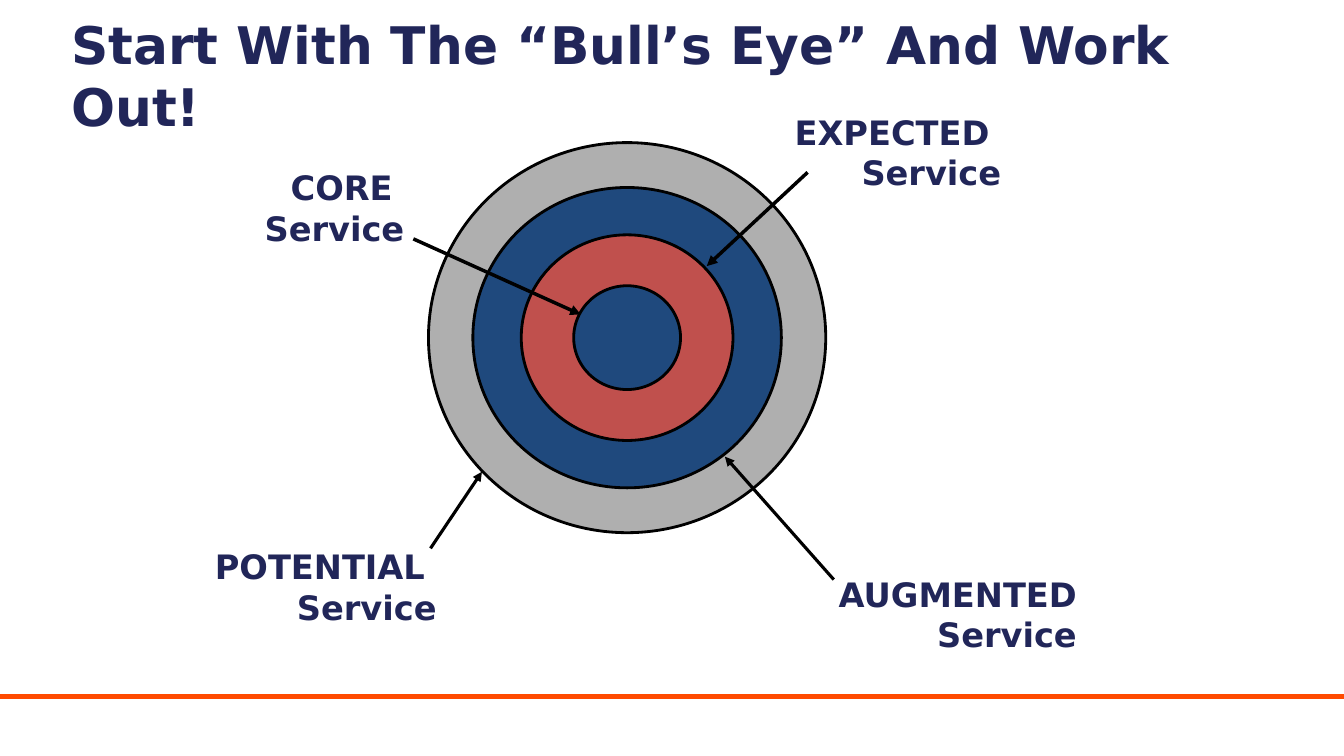
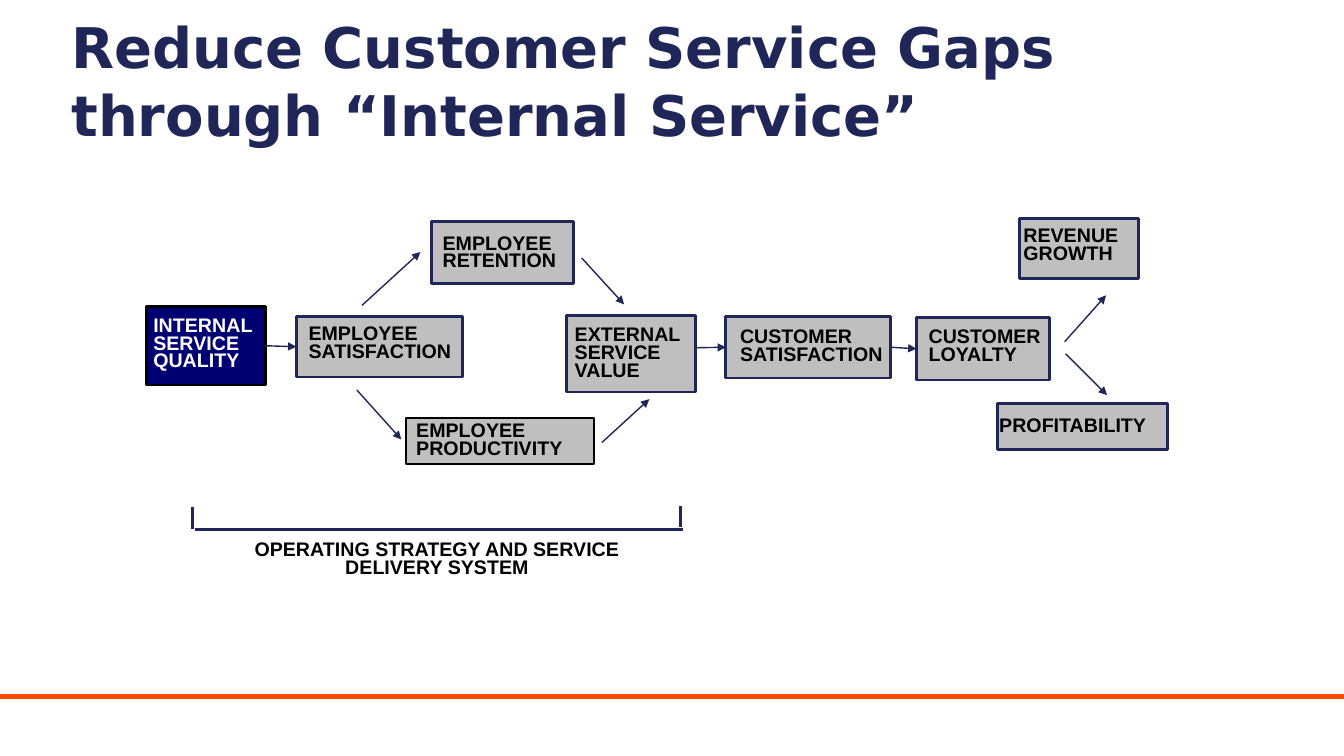
from lxml import etree
from pptx import Presentation
from pptx import util as u
from pptx.dml.color import RGBColor
from pptx.enum import shapes, text
from pptx.oxml.ns import qn

COLORS = {
    "navy": "212659",
    "orange": "FF4A00",
    "black": "000000",
    "white": "FFFFFF",
    "grey": "AFAFAF",
    "blue": "1F497D",
    "red": "C0504D",
    "deep": "000073",
    "silver": "BFBFBF",
}
TITLE_FONT = "DejaVu Sans"
BOX_FONT = "Arial"
WIDTH, HEIGHT = 13.33, 7.5
TOP, LEFT, BOTTOM, RIGHT = range(4)


def color(name):
    return RGBColor.from_string(COLORS[name])


def write(frame, content, font=TITLE_FONT, size=24, ink="navy",
          align=text.PP_ALIGN.LEFT, spacing=None, insets=(0.1, 0.05)):
    frame.word_wrap = True
    frame.vertical_anchor = text.MSO_ANCHOR.TOP
    frame.margin_left, frame.margin_top = map(u.Inches, insets)
    frame.margin_right = frame.margin_bottom = 0
    for number, line in enumerate(content.split("\n")):
        paragraph = frame.add_paragraph() if number else frame.paragraphs[0]
        paragraph.text = line
        paragraph.alignment = align
        paragraph.line_spacing = spacing
        paragraph.font.name = font
        paragraph.font.size = u.Pt(size)
        paragraph.font.bold = True
        paragraph.font.color.rgb = color(ink)


class Deck:
    def __init__(self):
        self.show = Presentation()
        self.show.slide_width = u.Inches(WIDTH)
        self.show.slide_height = u.Inches(HEIGHT)

    def start(self, title, size):
        self.slide = self.show.slides.add_slide(self.show.slide_layouts[6])
        self.line((0, 6.91), (WIDTH, 6.91), "orange", 3)
        self.label((0.61, 0.08, 12.41, 0.83), title, size=size)

    def label(self, place, content, **style):
        area = self.slide.shapes.add_textbox(*map(u.Inches, place))
        write(area.text_frame, content, **style)

    def shape(self, kind, place, fill, edge, weight=2):
        figure = self.slide.shapes.add_shape(kind, *map(u.Inches, place))
        figure.shadow.inherit = False
        figure.fill.solid()
        figure.fill.fore_color.rgb = color(fill)
        figure.line.color.rgb = color(edge)
        figure.line.width = u.Pt(weight)
        return figure

    def ring(self, center, width, height, fill):
        x, y = center
        place = (x - width / 2, y - height / 2, width, height)
        self.shape(shapes.MSO_SHAPE.OVAL, place, fill, "black")

    def stage(self, place, content, insets, fill="silver", edge="navy",
              ink="black", weight=2):
        stage = self.shape(shapes.MSO_SHAPE.RECTANGLE, place, fill, edge, weight)
        write(stage.text_frame, content, font=BOX_FONT, size=14, ink=ink,
              spacing=0.75, insets=insets)
        return stage

    def line(self, start, end, ink="navy", weight=1, arrow=False):
        link = self.slide.shapes.add_connector(
            shapes.MSO_CONNECTOR.STRAIGHT, *map(u.Inches, start + end))
        link.line.color.rgb = color(ink)
        link.line.width = u.Pt(weight)
        if arrow:
            etree.SubElement(link.line._get_or_add_ln(), qn("a:tailEnd"),
                             type="triangle")
        etree.SubElement(link._element.spPr, qn("a:effectLst"))
        return link


def bulls_eye(deck):
    deck.start("Start With The “Bull’s Eye” And Work Out!", 37)
    for width, height, fill in (
        (3.94, 3.87, "grey"),
        (3.06, 2.98, "blue"),
        (2.1, 2.04, "red"),
        (1.06, 1.03, "blue"),
    ):
        deck.ring((6.22, 3.35), width, height, fill)
    for place, service, start, end, weight in (
        ((7.41, 1.06, 2.52, 0.91), "EXPECTED \vService",
         (8.01, 1.71), (7.01, 2.64), 2.5),
        ((8.19, 5.64, 2.49, 0.91), "AUGMENTED\vService",
         (8.27, 5.75), (7.19, 4.53), 2.25),
        ((1.84, 5.37, 2.49, 0.91), "POTENTIAL \vService",
         (4.27, 5.44), (4.78, 4.68), 2.25),
        ((2.42, 1.61, 1.59, 0.91), "CORE \vService",
         (4.1, 2.37), (5.76, 3.12), 2.5),
    ):
        deck.label(place, service, align=text.PP_ALIGN.RIGHT)
        deck.line(start, end, "black", weight, arrow=True)


def internal_service(deck):
    deck.start("Reduce Customer Service Gaps through “Internal Service”", 40)
    quality = deck.stage((1.45, 3.04, 1.18, 0.78), "INTERNAL\nSERVICE\nQUALITY",
                         (0.07, 0.12), "deep", "black", "white")
    employee = deck.stage((2.94, 3.14, 1.65, 0.6), "EMPLOYEE\nSATISFACTION",
                          (0.12, 0.1))
    deck.stage((5.62, 3.13, 1.28, 0.76), "EXTERNAL\nSERVICE\nVALUE", (0.08, 0.12))
    customer = deck.stage((7.2, 3.14, 1.63, 0.61), "CUSTOMER\nSATISFACTION",
                          (0.14, 0.13))
    loyalty = deck.stage((9.09, 3.15, 1.32, 0.62), "CUSTOMER\nLOYALTY", (0.12, 0.12))
    deck.stage((4.28, 2.2, 1.41, 0.61), "EMPLOYEE\nRETENTION", (0.11, 0.14))
    deck.stage((4.03, 4.15, 1.86, 0.45), "EMPLOYEE\nPRODUCTIVITY", (0.1, 0.05),
               edge="black", weight=1.5)
    deck.stage((10.11, 2.17, 1.18, 0.59), "REVENUE\nGROWTH", (0.04, 0.1))
    deck.stage((9.89, 4, 1.69, 0.46), "PROFITABILITY", (0.02, 0.15))

    for start, end, source, target in (
        ((2.63, 3.45), (2.92, 3.45), quality, employee),
        ((6.9, 3.45), (7.2, 3.45), None, customer),
        ((8.83, 3.45), (9.09, 3.45), customer, loyalty),
        ((3.59, 3.03), (4.17, 2.5), None, None),
        ((3.54, 3.87), (3.98, 4.36), None, None),
        ((5.97, 4.39), (6.44, 3.96), None, None),
        ((5.77, 2.56), (6.19, 3.02), None, None),
        ((10.56, 3.39), (10.97, 2.93), None, None),
        ((10.57, 3.51), (10.98, 3.92), None, None),
    ):
        flow = deck.line(start, end, arrow=True)
        if source:
            flow.begin_connect(source, RIGHT)
        if target:
            flow.end_connect(target, LEFT)

    for start, end in (
        ((1.91, 5.03), (1.91, 5.25)),
        ((1.93, 5.25), (6.77, 5.25)),
        ((6.75, 5.02), (6.75, 5.23)),
    ):
        deck.line(start, end, weight=2)
    deck.label((1.91, 5.33, 4.75, 0.45),
               "OPERATING STRATEGY AND SERVICE\nDELIVERY SYSTEM", font=BOX_FONT,
               size=14, ink="black", align=text.PP_ALIGN.CENTER, spacing=0.75)


def main():
    deck = Deck()
    bulls_eye(deck)
    internal_service(deck)
    deck.show.save("out.pptx")


if __name__ == "__main__":
    main()
